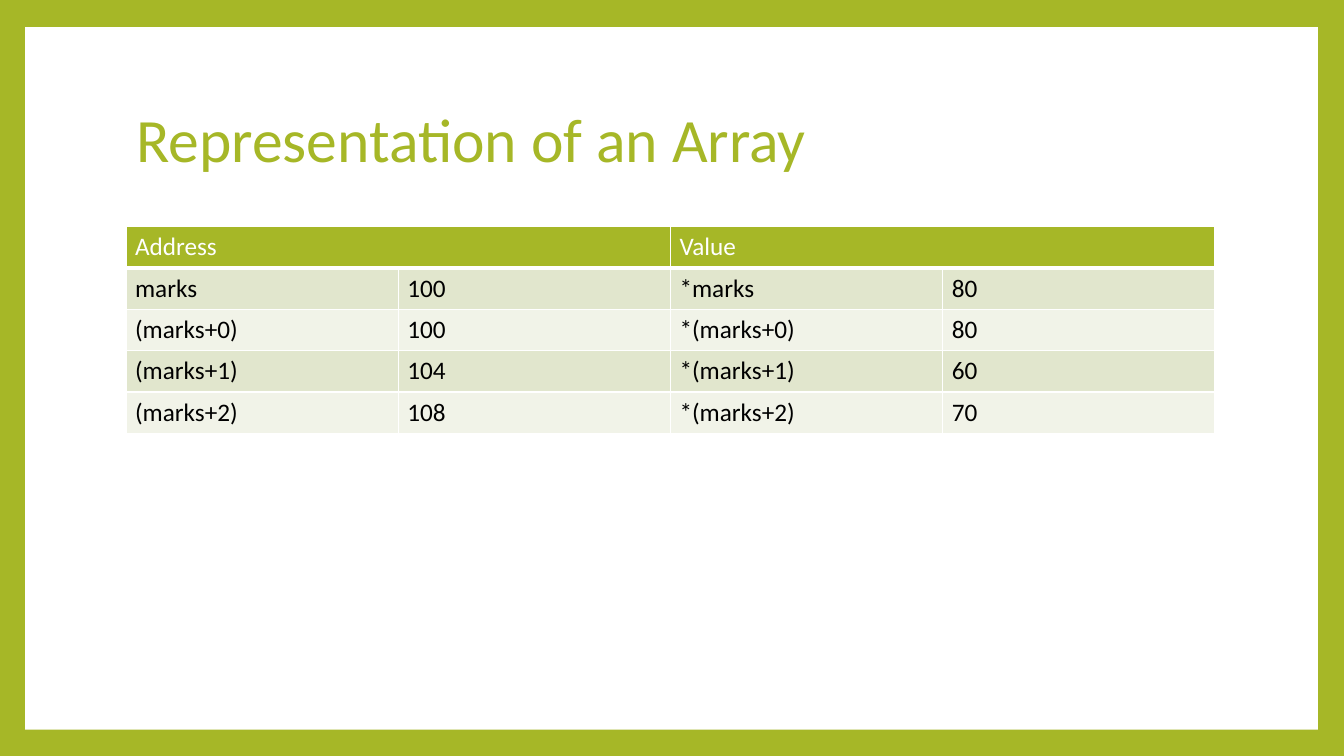
from dataclasses import dataclass

from lxml import etree
from pptx import Presentation
from pptx import util as u
from pptx.dml.color import RGBColor
from pptx.enum import shapes, text
from pptx.oxml import ns

COLORS = {
    "green": "A6B727",
    "white": "FFFFFF",
    "black": "000000",
    "odd row": "E1E6CD",
    "even row": "F1F3E8",
}
FONT = "Calibri"
SLIDE_WIDTH, SLIDE_HEIGHT = 13.33, 7.5
LEFT, COLUMN, ROW = 1.25, 2.7, 0.41
TABLE_TOP = 2.25
HEADINGS = ("Address", "Value")
ENTRIES = (
    ("marks", "100", "*marks", "80"),
    ("(marks+0)", "100", "*(marks+0)", "80"),
    ("(marks+1)", "104", "*(marks+1)", "60"),
    ("(marks+2)", "108", "*(marks+2)", "70"),
)


@dataclass(frozen=True)
class Area:
    left: float
    top: float
    width: float
    height: float

    def place(self, shape) -> None:
        shape.left, shape.top = u.Inches(self.left), u.Inches(self.top)
        shape.width, shape.height = u.Inches(self.width), u.Inches(self.height)


@dataclass(frozen=True)
class CellStyle:
    fill: str
    ink: str
    bottom_line: float = 1


HEADER = CellStyle("green", "white", 3)
BANDS = (CellStyle("odd row", "black"), CellStyle("even row", "black"))
PANEL = Area(0.25, 0.27, 12.82, 6.97)
TITLE = Area(LEFT, 0.67, 4 * COLUMN, 1.48)
TABLE = Area(LEFT, TABLE_TOP, 4 * COLUMN, (len(ENTRIES) + 1) * ROW)


def rgb(name: str) -> RGBColor:
    return RGBColor.from_string(COLORS[name])


def set_font(para, size: float, color: str) -> None:
    font = para.font
    font.name, font.size, font.bold = FONT, u.Pt(size), False
    font.color.rgb = rgb(color)


def add_borders(cell, bottom_line: float) -> None:
    properties = cell._tc.get_or_add_tcPr()
    for side, points in (("L", 1), ("R", 1), ("T", 1), ("B", bottom_line)):
        line = etree.SubElement(properties, ns.qn(f"a:ln{side}"), w=str(u.Pt(points)))
        fill = etree.SubElement(line, ns.qn("a:solidFill"))
        etree.SubElement(fill, ns.qn("a:srgbClr"), val=COLORS["white"])


def style_cell(cell, style: CellStyle) -> None:
    add_borders(cell, style.bottom_line)
    cell.fill.solid()
    cell.fill.fore_color.rgb = rgb(style.fill)
    cell.margin_left = cell.margin_right = u.Inches(0.09)
    cell.margin_top = cell.margin_bottom = u.Inches(0.05)
    set_font(cell.text_frame.paragraphs[0], 18, style.ink)


def add_title(page) -> None:
    title = page.shapes.title
    TITLE.place(title)
    frame = title.text_frame
    frame.text = "Representation of an Array"
    frame.auto_size = text.MSO_AUTO_SIZE.NONE
    frame.vertical_anchor = text.MSO_ANCHOR.MIDDLE
    para = frame.paragraphs[0]
    para.alignment = text.PP_ALIGN.LEFT
    para.line_spacing = 0.9
    set_font(para, 44, "green")


def add_panel(page) -> None:
    """Add the white sheet behind the title, leaving the background as a frame."""
    panel = page.shapes.add_shape(shapes.MSO_SHAPE.RECTANGLE, 0, 0, 0, 0)
    PANEL.place(panel)
    panel.shadow.inherit = False
    panel.fill.solid()
    panel.fill.fore_color.rgb = rgb("white")
    panel.line.fill.background()
    page.shapes.title.element.addprevious(panel.element)


def add_array_table(page) -> None:
    table = page.shapes.add_table(
        len(ENTRIES) + 1, 2 * len(HEADINGS),
        u.Inches(TABLE.left), u.Inches(TABLE.top),
        u.Inches(TABLE.width), u.Inches(TABLE.height),
    ).table
    for index, heading in enumerate(HEADINGS):
        first, second = table.cell(0, 2 * index), table.cell(0, 2 * index + 1)
        first.merge(second)
        first.text = heading
        style_cell(first, HEADER)
        style_cell(second, HEADER)
    for row, entry in enumerate(ENTRIES, start=1):
        for column, value in enumerate(entry):
            cell = table.cell(row, column)
            cell.text = value
            style_cell(cell, BANDS[(row - 1) % 2])


def main() -> None:
    deck = Presentation()
    deck.slide_width, deck.slide_height = u.Inches(SLIDE_WIDTH), u.Inches(SLIDE_HEIGHT)
    page = deck.slides.add_slide(deck.slide_layouts.get_by_name("Title Only"))
    page.background.fill.solid()
    page.background.fill.fore_color.rgb = rgb("green")
    add_panel(page)
    add_title(page)
    add_array_table(page)
    deck.save("out.pptx")


if __name__ == "__main__":
    main()
